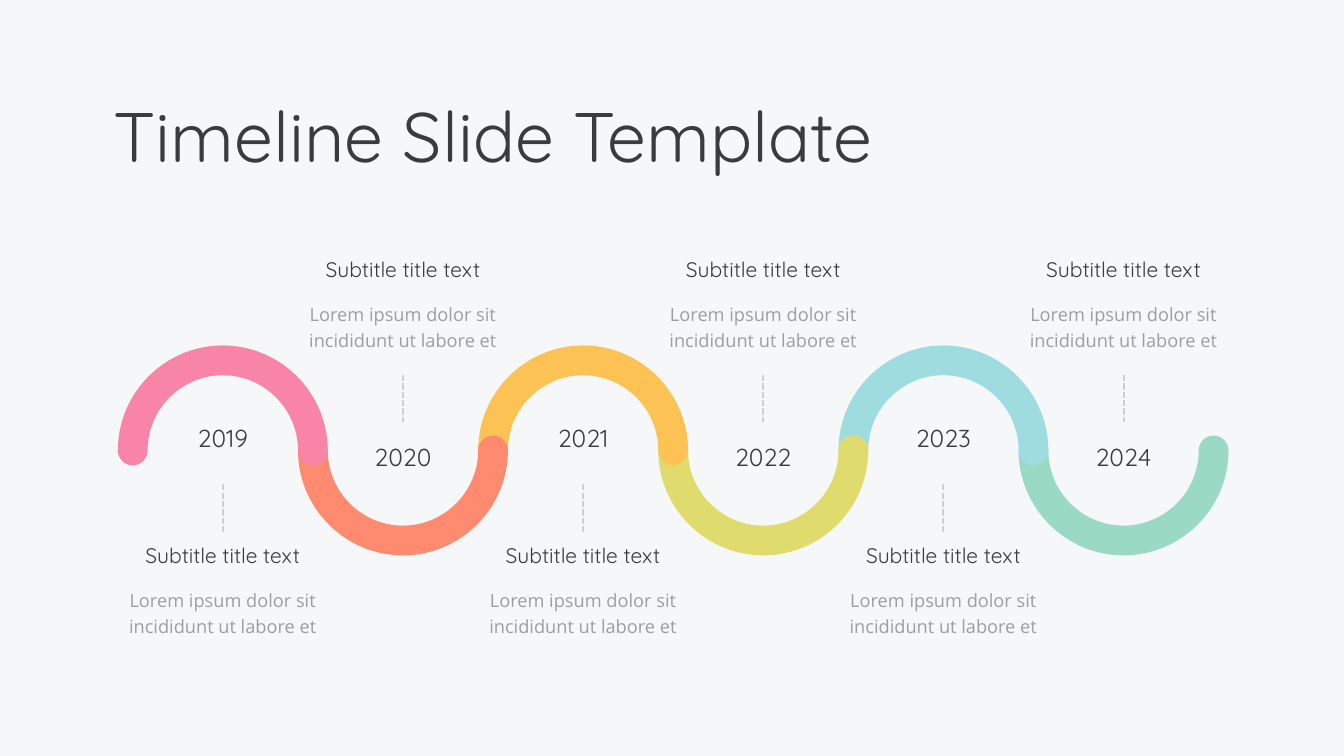
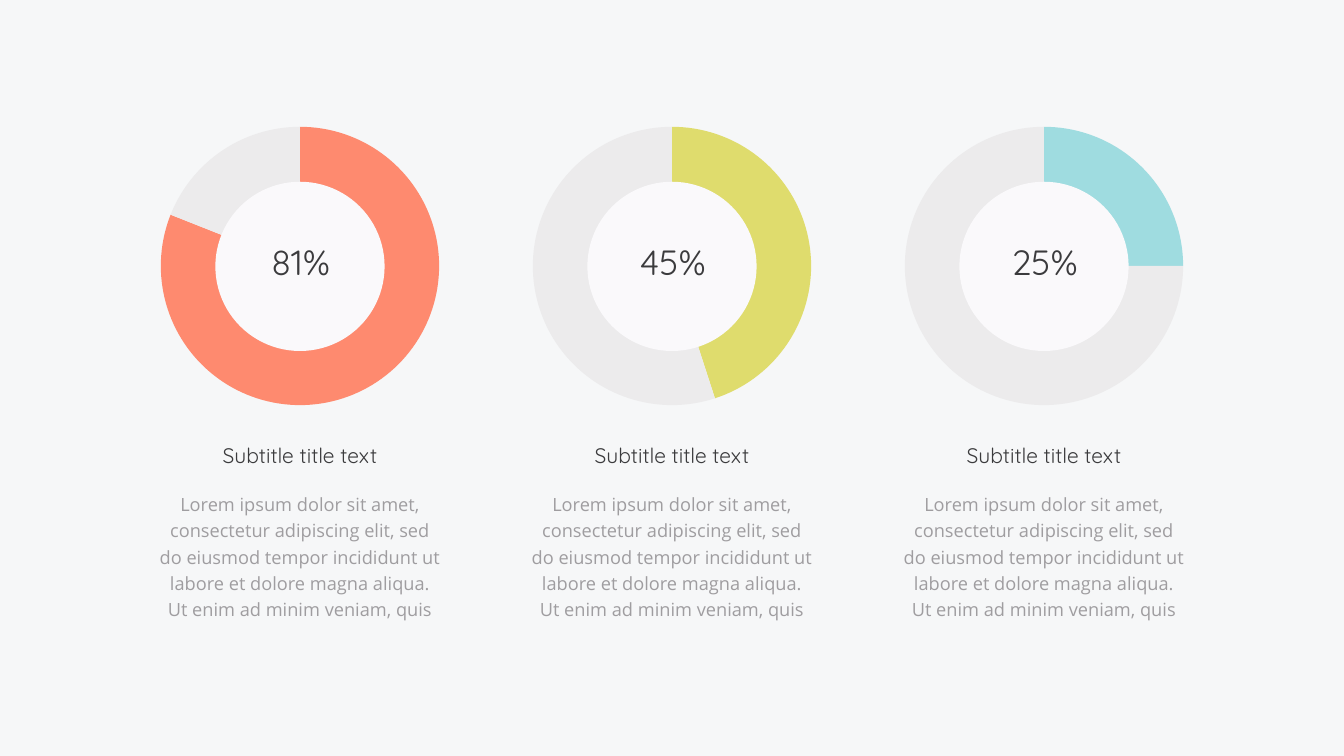
from math import cos, pi, sin

from lxml.etree import SubElement, fromstring
from pptx import Presentation
from pptx.chart.data import CategoryChartData
from pptx.dml.color import RGBColor
from pptx.enum.chart import XL_CHART_TYPE
from pptx.enum.dml import MSO_LINE
from pptx.enum.shapes import MSO_CONNECTOR, MSO_SHAPE
from pptx.enum.text import MSO_ANCHOR, MSO_AUTO_SIZE, PP_ALIGN
from pptx.oxml.ns import qn
from pptx.util import Cm, Pt

BACKGROUND = RGBColor(0xF6, 0xF7, 0xF8)
DARK = RGBColor(0x3B, 0x3B, 0x3D)
GREY = RGBColor(0x9F, 0x9D, 0xA0)
DASH = RGBColor(0xCF, 0xCF, 0xD0)
REMAINDER = RGBColor(0xEC, 0xEB, 0xEC)
HOLE = RGBColor(0xFA, 0xF9, 0xFB)
PINK = RGBColor(0xF8, 0x85, 0xA8)
CORAL = RGBColor(0xFE, 0x8A, 0x6F)
ORANGE = RGBColor(0xFD, 0xC2, 0x54)
LIME = RGBColor(0xDF, 0xDC, 0x6D)
AQUA = RGBColor(0x9F, 0xDC, 0xE0)
MINT = RGBColor(0x9A, 0xDA, 0xC5)

HEADING_FONT = "Quicksand"
BODY_FONT = "Open Sans"
CHART_FONT = "Roboto"

SUBTITLE = "Subtitle title text"
SHORT_TEXT = "Lorem ipsum dolor sit incididunt ut labore et"
LONG_TEXT = (
    "Lorem ipsum dolor sit amet, consectetur adipiscing elit, sed do eiusmod "
    "tempor incididunt ut labore et dolore magna aliqua. "
    "Ut enim ad minim veniam, quis"
)

MILESTONES = [
    ("2019", PINK),
    ("2020", CORAL),
    ("2021", ORANGE),
    ("2022", LIME),
    ("2023", AQUA),
    ("2024", MINT),
]
SHARES = [(81, CORAL, 3.81), (45, LIME, 4.45), (25, AQUA, 3.81)]

BAND_RADIUS = 4.54
CAP_RADIUS = 0.75
QUARTER_HANDLE = 0.55

PLOT_LAYOUT = (
    '<c:layout xmlns:c="http://schemas.openxmlformats.org/drawingml/2006/chart">'
    '<c:manualLayout><c:layoutTarget val="inner"/>'
    '<c:xMode val="edge"/><c:yMode val="edge"/>'
    '<c:x val="0.005"/><c:y val="0.005"/><c:w val="0.99"/><c:h val="0.99"/>'
    "</c:manualLayout></c:layout>"
)


def format_text(shape, text, size, font=HEADING_FONT, color=DARK,
                align=PP_ALIGN.CENTER, anchor=MSO_ANCHOR.MIDDLE,
                line_spacing=0.9, space_before=0):
    frame = shape.text_frame
    frame.text = text
    frame.word_wrap = True
    frame.auto_size = MSO_AUTO_SIZE.SHAPE_TO_FIT_TEXT
    frame.vertical_anchor = anchor
    frame.margin_left = frame.margin_right = Cm(0.15)
    frame.margin_top = frame.margin_bottom = Cm(0.15)
    paragraph = frame.paragraphs[0]
    paragraph.alignment = align
    paragraph.line_spacing = line_spacing
    paragraph.space_before = Pt(space_before)
    run_font = paragraph.runs[0].font
    run_font.name = font
    run_font.size = Pt(size)
    run_font.color.rgb = color


def add_centred_text(slide, center, top, width, height, text, size, **style):
    box = slide.shapes.add_textbox(
        Cm(center - width / 2), Cm(top), Cm(width), Cm(height))
    format_text(box, text, size, **style)


def add_caption(slide, center, top, subtitle_width, body_width,
                body_offset, body_height, body):
    add_centred_text(slide, center, top, subtitle_width, 1.45, SUBTITLE, 30)
    add_centred_text(slide, center, top + body_offset, body_width, body_height,
                     body, 26, font=BODY_FONT, color=GREY,
                     anchor=MSO_ANCHOR.TOP, line_spacing=1.2, space_before=20)


def fill_plain(shape, color):
    shape.fill.solid()
    shape.fill.fore_color.rgb = color
    shape.line.fill.background()
    shape.shadow.inherit = False


def quarter_points(center, middle, radius, start, turn, direction):
    end = start + turn * pi / 2
    handle = turn * QUARTER_HANDLE
    offsets = [
        (cos(start) - handle * sin(start), sin(start) + handle * cos(start)),
        (cos(end) + handle * sin(end), sin(end) - handle * cos(end)),
        (cos(end), sin(end)),
    ]
    return [
        (Cm(center + radius * x), Cm(middle - direction * radius * y))
        for x, y in offsets
    ]


def turn_lines_into_curves(shape):
    outline = next(shape._element.iter(qn("a:path")))
    lines = outline.findall(qn("a:lnTo"))
    for first, second, third in zip(lines[::3], lines[1::3], lines[2::3]):
        curve = outline.makeelement(qn("a:cubicBezTo"))
        first.addprevious(curve)
        for line in (first, second, third):
            curve.append(line[0])
            outline.remove(line)


def add_half_ring(slide, center, middle, direction, color):
    outer_radius = BAND_RADIUS + CAP_RADIUS
    arcs = [
        (center, outer_radius, pi, -1),
        (center + BAND_RADIUS, CAP_RADIUS, 0, -1),
        (center, BAND_RADIUS - CAP_RADIUS, 0, 1),
        (center - BAND_RADIUS, CAP_RADIUS, 0, -1),
    ]
    points = []
    for arc_center, radius, start, turn in arcs:
        for quarter_start in (start, start + turn * pi / 2):
            points += quarter_points(
                arc_center, middle, radius, quarter_start, turn, direction)
    builder = slide.shapes.build_freeform(Cm(center - outer_radius), Cm(middle))
    builder.add_line_segments(points, close=True)
    half_ring = builder.convert_to_shape()
    turn_lines_into_curves(half_ring)
    fill_plain(half_ring, color)


def add_dashed_line(slide, center, top, length):
    connector = slide.shapes.add_connector(
        MSO_CONNECTOR.STRAIGHT,
        Cm(center), Cm(top), Cm(center), Cm(top + length))
    connector.line.color.rgb = DASH
    connector.line.width = Pt(3)
    connector.line.dash_style = MSO_LINE.SQUARE_DOT
    SubElement(connector._element.spPr, qn("a:effectLst"))


def add_milestone(slide, center, middle, year, arches_up):
    year_top, line_top, caption_top = (
        (-1.34, 1.7, 4.62) if arches_up else (-0.38, -3.81, -9.78))
    add_centred_text(slide, center, middle + year_top, 7.34, 1.63, year, 35)
    add_caption(slide, center, middle + caption_top, 8.92, 10.26,
                2, 2.87, SHORT_TEXT)
    add_dashed_line(slide, center, middle + line_top, 2.39)


def add_wave(slide, left, middle):
    first_center = left + BAND_RADIUS + CAP_RADIUS
    stops = [
        (first_center + index * 2 * BAND_RADIUS, index % 2 == 0, year, color)
        for index, (year, color) in enumerate(MILESTONES)
    ]
    for center, arches_up, _, color in reversed(stops):
        add_half_ring(slide, center, middle, 1 if arches_up else -1, color)
    for center, arches_up, year, _ in stops:
        add_milestone(slide, center, middle, year, arches_up)


def add_share_pie(slide, left, top, size, share, color):
    data = CategoryChartData()
    data.categories = ["1", "2"]
    data.add_series("Series 1", (share, 100 - share))
    chart = slide.shapes.add_chart(
        XL_CHART_TYPE.PIE, Cm(left), Cm(top), Cm(size), Cm(size), data).chart
    chart.has_legend = False
    chart.has_title = False
    chart.font.name = CHART_FONT
    chart.font.size = Pt(10)
    chart.font.color.rgb = DARK
    plot = chart.plots[0]
    plot.vary_by_categories = True
    for index, slice_color in enumerate((color, REMAINDER)):
        slice_format = plot.series[0].points[index].format
        slice_format.fill.solid()
        slice_format.fill.fore_color.rgb = slice_color
        slice_format.line.fill.background()
    plot_area = chart._chartSpace.chart.plotArea
    for layout in plot_area.findall(qn("c:layout")):
        plot_area.remove(layout)
    plot_area.insert(0, fromstring(PLOT_LAYOUT))


def add_share_column(slide, center, top, share, color, label_width):
    pie_size, hole_size = 14.17, 8.53
    add_caption(slide, center, top + 15.98, 14.58, 14.58, 2.2, 6.86, LONG_TEXT)
    add_share_pie(slide, center - pie_size / 2, top, pie_size, share, color)
    hole = slide.shapes.add_shape(
        MSO_SHAPE.OVAL, Cm(center - hole_size / 2),
        Cm(top + (pie_size - hole_size) / 2 + 0.02), Cm(hole_size), Cm(hole_size))
    fill_plain(hole, HOLE)
    add_centred_text(slide, center + 0.04, top + 5.9, label_width, 2.21,
                     f"{share}%", 50)


def build_timeline_slide(presentation):
    slide = presentation.slides.add_slide(presentation.slide_layouts[5])
    title = slide.shapes.title
    title.left, title.top = Cm(5.56), Cm(4.98)
    title.width, title.height = Cm(44), Cm(4.14)
    format_text(title, "Timeline Slide Template", 100, align=PP_ALIGN.LEFT)
    add_wave(slide, 5.94, 22.7)


def build_shares_slide(presentation):
    slide = presentation.slides.add_slide(presentation.slide_layouts[6])
    for index, (share, color, label_width) in enumerate(SHARES):
        add_share_column(
            slide, 15.12 + index * 18.75, 6.32, share, color, label_width)


def main():
    presentation = Presentation()
    presentation.slide_width = Cm(67.74)
    presentation.slide_height = Cm(38.1)
    background = presentation.slide_master.background.fill
    background.solid()
    background.fore_color.rgb = BACKGROUND
    build_timeline_slide(presentation)
    build_shares_slide(presentation)
    presentation.save("out.pptx")


if __name__ == "__main__":
    main()
